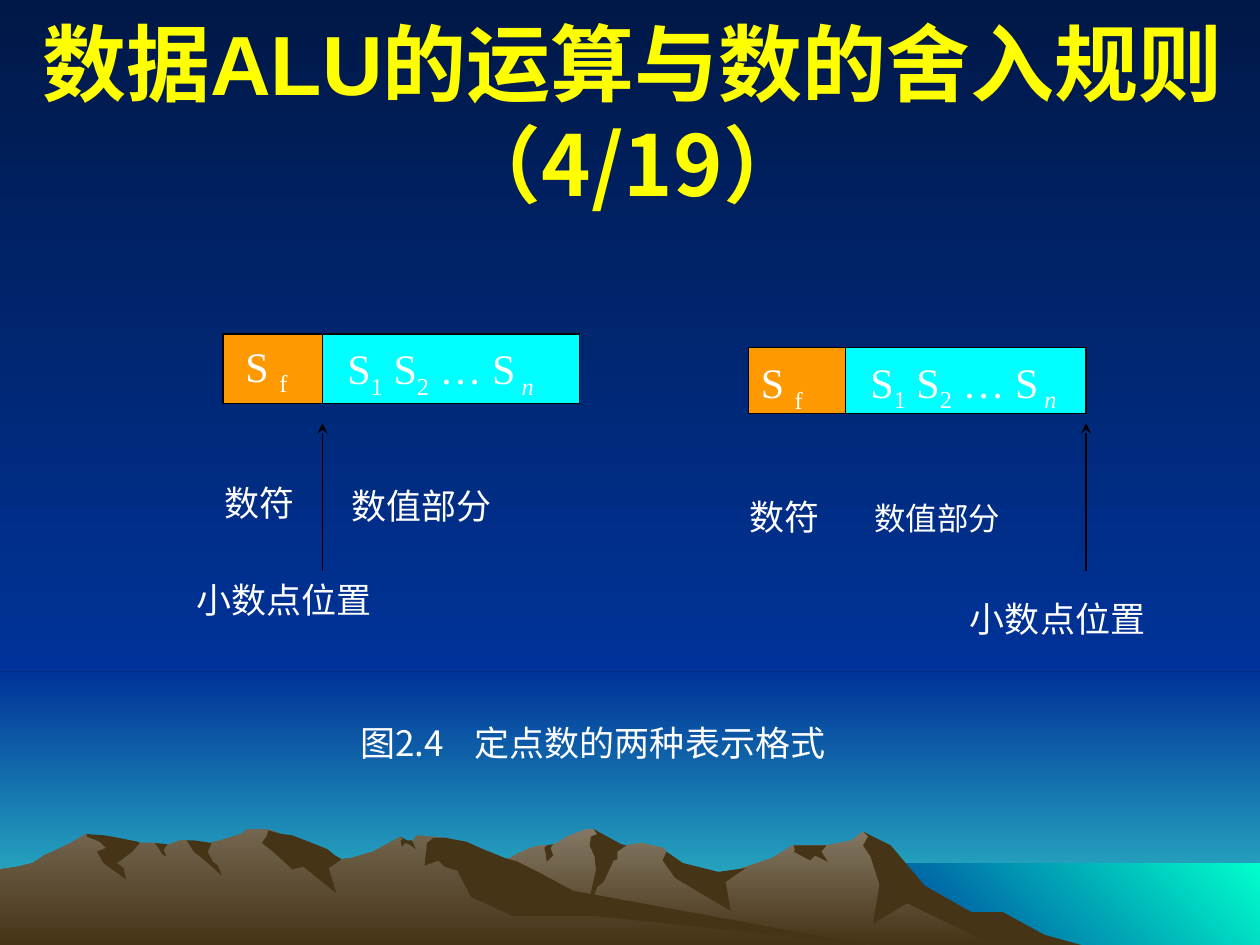
import dataclasses

import lxml.etree
import pptx
import pptx.dml.color
import pptx.enum.shapes
import pptx.enum.text
import pptx.oxml.ns
import pptx.util

COLS, ROWS = 1000, 750
CELL = pptx.util.Inches(0.01)
ALIGN = pptx.enum.text.PP_ALIGN


@dataclasses.dataclass(frozen=True)
class Theme:
    """Colours, fonts and type sizes of the slide."""
    night: str = "001847"
    blue: str = "003399"
    dawn: str = "33CCCC"
    sea: str = "00FFCC"
    shade: str = "463416"
    far: str = "847864"
    near: str = "73654F"
    sign: str = "FF9900"
    value: str = "00FFFF"
    title: str = "FFFF00"
    text: str = "FFFFFF"
    edge: str = "000000"
    sans: str = "Arial"
    serif: str = "Times New Roman"
    han: str = "Noto Sans CJK SC"
    head: int = 48
    code: int = 24
    note: int = 20
    small: int = 18
    rule: float = 0.75


THEME = Theme()

FAR = [(802, 82), (778, 69), (764, 65), (723, 40), (702, 13), (685, 2), (676, 9), (656, 13), (629, 13),
       (613, 23), (566, 39), (536, 32), (529, 18), (526, 15), (509, 11), (497, 13), (486, 15), (474, 3),
       (471, 0), (465, 0), (450, 6), (444, 10), (438, 13), (430, 13), (424, 14), (412, 19), (405, 23),
       (394, 27), (355, 40), (327, 51), (277, 81), (258, 92), (820, 92)]
FAR_DARK = [
    [(796, 66), (771, 66), (734, 45), (707, 13), (685, 2), (689, 6), (685, 13), (691, 22), (698, 44),
     (693, 75), (720, 59), (788, 92), (858, 92), (829, 84)],
    [(471, 0), (474, 4), (469, 6), (468, 13), (472, 22), (473, 32), (465, 69), (474, 46), (479, 42),
     (487, 25), (490, 24), (490, 18), (497, 13), (493, 12)],
    [(529, 18), (526, 25), (536, 39), (580, 65), (576, 42), (592, 31), (570, 34), (542, 27)],
    [(650, 13), (630, 13), (631, 17), (630, 18), (643, 25), (647, 21), (657, 26), (652, 18), (656, 13)],
    [(433, 19), (432, 15), (434, 13), (439, 12), (437, 15), (439, 21), (434, 26)],
]
NEAR = [(690, 92), (667, 90), (432, 54), (354, 7), (331, 5), (327, 10), (323, 10), (318, 6), (296, 18),
        (279, 23), (271, 24), (260, 18), (236, 23), (223, 5), (219, 2), (212, 0), (196, 0), (191, 4),
        (178, 8), (160, 13), (148, 9), (143, 9), (132, 13), (128, 13), (123, 11), (111, 11), (94, 13),
        (68, 4), (56, 11), (46, 16), (35, 21), (26, 27), (14, 30), (0, 32), (0, 92)]
NEAR_DARK = [
    [(212, 5), (208, 11), (219, 20), (232, 32), (241, 30), (267, 51), (261, 31), (271, 24), (266, 21),
     (260, 16), (245, 10), (232, 5), (224, 4), (213, 1)],
    [(370, 10), (354, 7), (344, 7), (339, 11), (337, 29), (348, 25), (353, 30), (363, 33), (374, 54),
     (407, 69), (472, 69), (690, 92), (455, 49), (427, 34), (411, 26), (401, 23), (386, 17)],
    [(318, 9), (320, 8), (318, 6), (323, 9), (327, 9), (330, 16), (326, 13), (322, 11), (319, 14)],
    [(154, 9), (168, 11), (165, 18), (169, 26), (173, 29), (176, 37), (165, 27), (154, 18), (148, 9)],
    [(133, 12), (130, 16), (132, 22), (129, 20), (123, 11)],
    [(109, 10), (111, 11), (105, 18), (93, 27), (98, 31), (100, 40), (82, 27), (77, 18), (84, 15),
     (79, 10), (69, 6), (69, 4), (83, 5), (94, 7)],
]


def tint(code):
    """Turn a hex code into a colour."""
    return pptx.dml.color.RGBColor.from_string(code)


def put(item, form):
    """Set each format value on an item."""
    for key, val in form.items():
        setattr(item, key, val)


def span(*cells):
    """Turn grid cells into lengths."""
    return [round(cell * CELL) for cell in cells]


def paint(fill, tones, angle=270):
    """Fill with one tone, or blend two."""
    if isinstance(tones, str):
        fill.solid()
        fill.fore_color.rgb = tint(tones)
        return
    fill.gradient()
    fill.gradient_angle = angle
    for stop, tone in zip(fill.gradient_stops, tones):
        stop.color.rgb = tint(tone)


def edge(line):
    """Give a line the thin dark rule."""
    line.color.rgb = tint(THEME.edge)
    line.width = pptx.util.Pt(THEME.rule)


def block(page, box, tones, angle=270, lined=False):
    """Place a filled rectangle in the box."""
    kind = pptx.enum.shapes.MSO_SHAPE.RECTANGLE
    item = page.shapes.add_shape(kind, *span(*box))
    item.shadow.inherit = False
    paint(item.fill, tones, angle)
    if lined:
        edge(item.line)
    else:
        item.line.fill.background()


def patch(page, box, dots, tones):
    """Draw a closed outline from the corner of the box."""
    dots = [(box[0] + x, box[1] + y) for x, y in dots]
    form = page.shapes.build_freeform(*dots[0], scale=CELL)
    form.add_line_segments(dots[1:], close=True)
    item = form.convert_to_shape()
    item.shadow.inherit = False
    paint(item.fill, tones)
    item.line.fill.background()


def write(page, box, runs, align=ALIGN.JUSTIFY, middle=False, tab=None, **base):
    """Write one paragraph of runs in the box."""
    frame = page.shapes.add_textbox(*span(*box)).text_frame
    anchor = pptx.enum.text.MSO_ANCHOR
    put(frame, {"word_wrap": True, "vertical_anchor": anchor.MIDDLE if middle else anchor.TOP})
    line = frame.paragraphs[0]
    line.alignment = align
    mark = pptx.oxml.ns.qn
    if tab:
        tabs = lxml.etree.SubElement(line._p.get_or_add_pPr(), mark("a:tabLst"))
        lxml.etree.SubElement(tabs, mark("a:tab"), pos=str(span(tab)[0]), algn="l")
    for words, more in runs:
        form = {"name": THEME.serif, "size": THEME.note, "tone": THEME.text, "drop": 0, **base, **more}
        form["size"] = pptx.util.Pt(form["size"])
        tone, drop = form.pop("tone"), form.pop("drop")
        run = line.add_run()
        run.text = words
        put(run.font, form)
        run.font.color.rgb = tint(tone)
        props = run._r.get_or_add_rPr()
        lxml.etree.SubElement(props, mark("a:ea"), typeface=THEME.han)
        if drop:
            props.set("baseline", str(drop * 1000))


def arrow(page, x, low, high):
    """Point a thin arrow up from one row to another."""
    kind = pptx.enum.shapes.MSO_CONNECTOR.STRAIGHT
    item = page.shapes.add_connector(kind, *span(x, low, x, high))
    edge(item.line)
    mark = pptx.oxml.ns.qn
    lxml.etree.SubElement(item.line._get_or_add_ln(), mark("a:tailEnd"), type="stealth")
    lxml.etree.SubElement(item._element.spPr, mark("a:effectLst"))


def scene(page, box):
    """Paint the sky, the sea and the hills."""
    x, y, wide, tall = box
    split, shore, ridge = y + 533, y + 685, (x, y + 658)
    paint(page.background.fill, (THEME.night, THEME.blue))
    block(page, (x, split, wide, y + tall - split), (THEME.blue, THEME.dawn))
    block(page, (x, y, wide, split - y), (THEME.night, THEME.blue))
    block(page, (x + 683, shore, wide - 683, y + tall - shore), (THEME.blue, THEME.sea), 45)
    for hill, tone, darks in ((FAR, THEME.far, FAR_DARK), (NEAR, THEME.near, NEAR_DARK)):
        patch(page, ridge, hill, (tone, THEME.shade))
        for dark in darks:
            patch(page, ridge, dark, THEME.shade)


def title(page, box):
    """Write the heading."""
    runs = [("数据", {}), ("ALU", {"name": THEME.sans}), ("的运算与数的舍入规则 （4/19）", {})]
    write(page, box, runs, ALIGN.CENTER, True, name=THEME.han, size=THEME.head, tone=THEME.title, bold=True)


def number(page, box, sign, bar, point, nudge, label, size):
    """Draw a number format: sign cell, value cell, arrow and labels."""
    x, y, wide, tall = box
    split, low = x + sign, y + tall
    tip = x + point
    sub = {"drop": -25}
    block(page, (x, y, sign, bar), THEME.sign, lined=True)
    write(page, (x + nudge[0], y + nudge[1], 70, bar), [("S ", {}), ("f", sub)], size=THEME.code)
    block(page, (split, y, wide - sign, bar), THEME.value, lined=True)
    runs = [("S", {}), ("1", sub), (" S", {}), ("2", sub), (" … S", {}), (" n", {"italic": True, **sub})]
    write(page, (split + 10, y + 2, 210, 57), runs, size=THEME.code)
    arrow(page, tip, low, low - 117)
    write(page, (x - 9, y + 112, 77, 58), [("数符", {})])
    write(page, (split + 13, y + 115, 137, 47), [("数值部分", {})], size=size)
    write(page, (tip + label[0], low + label[1], 166, 55), [("小数点位置", {})])


def main():
    """Build and save the slide."""
    deck = pptx.Presentation()
    put(deck, {"slide_width": COLS * CELL, "slide_height": ROWS * CELL})
    page = deck.slides.add_slide(deck.slide_layouts[6])
    scene(page, (0, 0, COLS, ROWS))
    title(page, (21, 17, 962, 145))
    number(page, (177, 265, 283, 188), 79, 55, 79, (8, 0), (-110, 1), THEME.note)
    number(page, (594, 276, 268, 177), 77, 52, 268, (0, 2), (-102, 16), THEME.small)
    write(page, (276, 568, 457, 54), [("图2.4\t定点数的两种表示格式", {})], ALIGN.LEFT, tab=91, name=THEME.han)
    deck.save("out.pptx")


if __name__ == "__main__":
    main()
